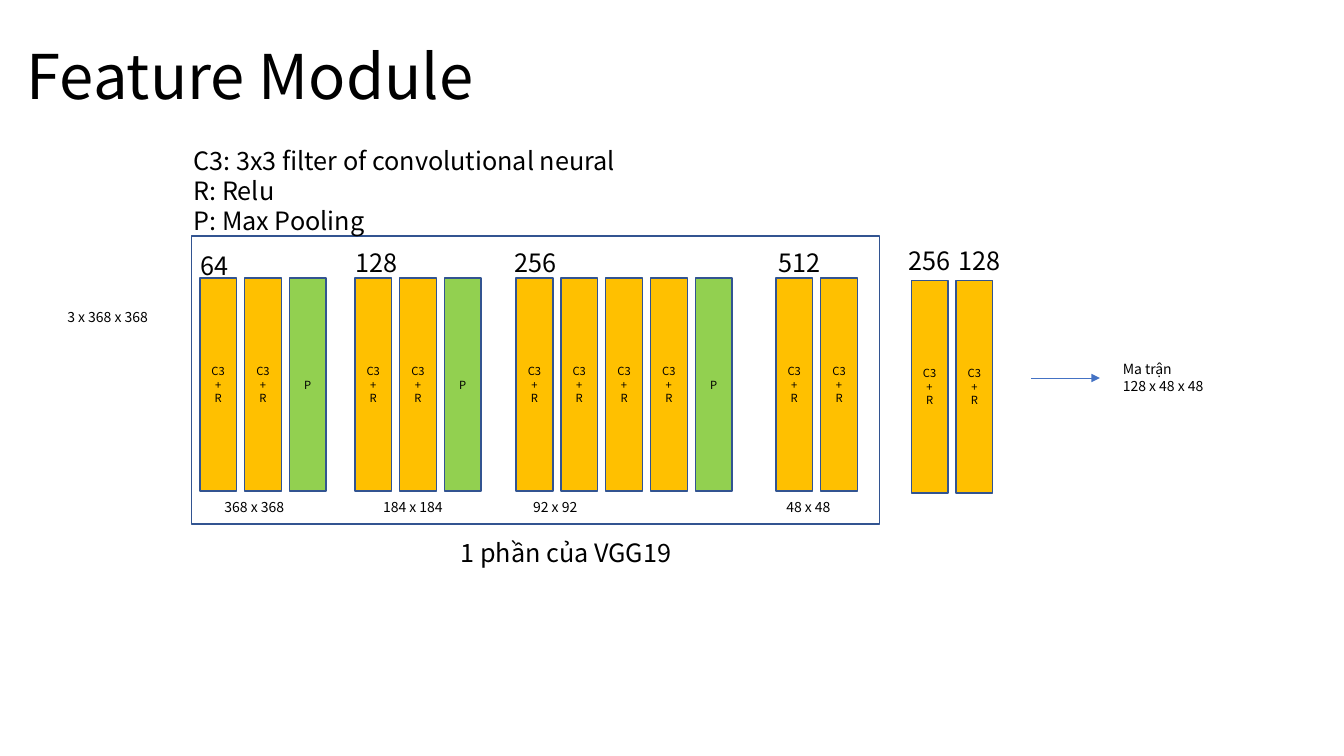
from lxml.etree import SubElement
from pptx import Presentation
from pptx.dml.color import RGBColor
from pptx.enum.shapes import MSO_CONNECTOR as Connector, MSO_SHAPE as Preset
from pptx.enum.text import MSO_ANCHOR as Anchor, MSO_AUTO_SIZE as AutoSize, PP_ALIGN as Align
from pptx.oxml.ns import qn
from pptx.util import Inches, Pt

COLORS = {
    "text": "000000",
    "conv": "FFC000",
    "pool": "92D050",
    "outline": "325491",
    "arrow": "4472C4",
}
LAYERS = {"C": ("conv", ["C3", "+", "R"]), "P": ("pool", ["P"])}
STAGES = [
    (4.46, 11.04, "CCP"),
    (7.92, 11.04, "CCP"),
    (11.52, 11.04, "CCCCP"),
    (17.32, 11.04, "CC"),
    (20.34, 11.12, "CC"),
]
CHANNELS = [
    ("64", 4.25, 9.72, 1.08),
    ("128", 7.72, 9.6, 1.4),
    ("256", 11.27, 9.6, 1.4),
    ("512", 17.15, 9.6, 1.4),
    ("256", 20.05, 9.52, 1.4),
    ("128", 21.17, 9.52, 1.4),
]
MAP_SIZES = [
    ("368 x 368", 4.79, 1.82),
    ("184 x 184", 8.33, 1.82),
    ("92 x 92", 11.68, 1.49),
    ("48 x 48", 17.33, 1.49),
]


class Diagram:
    """Draws on one slide, in units of a 30 by 30 grid."""

    font = "Noto Sans CJK JP"
    cells = 30

    def __init__(self, deck):
        self.slide = deck.slides.add_slide(deck.slide_layouts[6])
        self.column = deck.slide_width / self.cells
        self.row = deck.slide_height / self.cells

    def color(self, name):
        return RGBColor.from_string(COLORS[name])

    def place(self, left, top, width, height):
        return (round(left * self.column), round(top * self.row),
                round(width * self.column), round(height * self.row))

    def add_lines(self, frame, lines, size, align=Align.LEFT, spacing=None):
        for index, line in enumerate(lines):
            paragraph = frame.add_paragraph() if index else frame.paragraphs[0]
            paragraph.alignment = align
            if spacing:
                paragraph.line_spacing = spacing
            run = paragraph.add_run()
            run.text = line
            run.font.name = self.font
            run.font.size = Pt(size)
            run.font.color.rgb = self.color("text")

    def label(self, lines, box, size):
        frame = self.slide.shapes.add_textbox(*self.place(*box)).text_frame
        frame.word_wrap = False
        frame.auto_size = AutoSize.SHAPE_TO_FIT_TEXT
        self.add_lines(frame, lines, size)

    def title(self, wording, box):
        frame = self.slide.shapes.add_textbox(*self.place(*box)).text_frame
        frame.word_wrap = True
        frame.vertical_anchor = Anchor.MIDDLE
        self.add_lines(frame, [wording], 44, spacing=0.9)

    def block(self, box, fill=None, lines=()):
        process = self.slide.shapes.add_shape(Preset.FLOWCHART_PROCESS, *self.place(*box))
        process.shadow.inherit = False
        process.line.color.rgb = self.color("outline")
        process.line.width = Pt(1)
        if fill:
            process.fill.solid()
            process.fill.fore_color.rgb = self.color(fill)
        else:
            process.fill.background()
        process.text_frame.vertical_anchor = Anchor.MIDDLE
        self.add_lines(process.text_frame, lines, 8, Align.CENTER)

    def layers(self, left, top, kinds):
        for step, kind in enumerate(kinds):
            fill, lines = LAYERS[kind]
            self.block((left + step, top, 0.82, 8.44), fill, lines)

    def arrow(self, start, end, level):
        x1, y, x2, _ = self.place(start, level, end, 0)
        flow = self.slide.shapes.add_connector(Connector.STRAIGHT, x1, y, x2, y)
        flow.line.color.rgb = self.color("arrow")
        flow.line.width = Pt(0.5)
        properties = flow.element.spPr
        SubElement(properties.find(qn("a:ln")), qn("a:tailEnd"), type="triangle")
        SubElement(properties, qn("a:effectLst"))


def main():
    deck = Presentation()
    deck.slide_width, deck.slide_height = Inches(13.33), Inches(7.5)
    diagram = Diagram(deck)

    diagram.title("Feature Module", (0.38, 0.24, 25.88, 5.8))
    diagram.label(["3 x 368 x 368"], (1.28, 12.04, 2.34, 1.08), 10)
    for left, top, kinds in STAGES:
        diagram.layers(left, top, kinds)
    diagram.block((4.28, 9.36, 15.35, 11.44))
    diagram.label(["1 phần của VGG19"], (10.06, 21.12, 5.27, 1.6), 18)
    diagram.label(["C3: 3x3 filter of convolutional neural", "R: Relu", "P: Max Pooling"],
                  (4.1, 5.56, 9.9, 4.04), 18)
    for channels, left, top, width in CHANNELS:
        diagram.label([channels], (left, top, width, 1.6), 18)
    for map_size, left, width in MAP_SIZES:
        diagram.label([map_size], (left, 19.6, width, 1.08), 10)
    diagram.arrow(23.02, 24.55, 15)
    diagram.label(["Ma trận", "128 x 48 x 48"], (24.84, 14.12, 2.43, 1.76), 10)

    deck.save("out.pptx")


if __name__ == "__main__":
    main()
